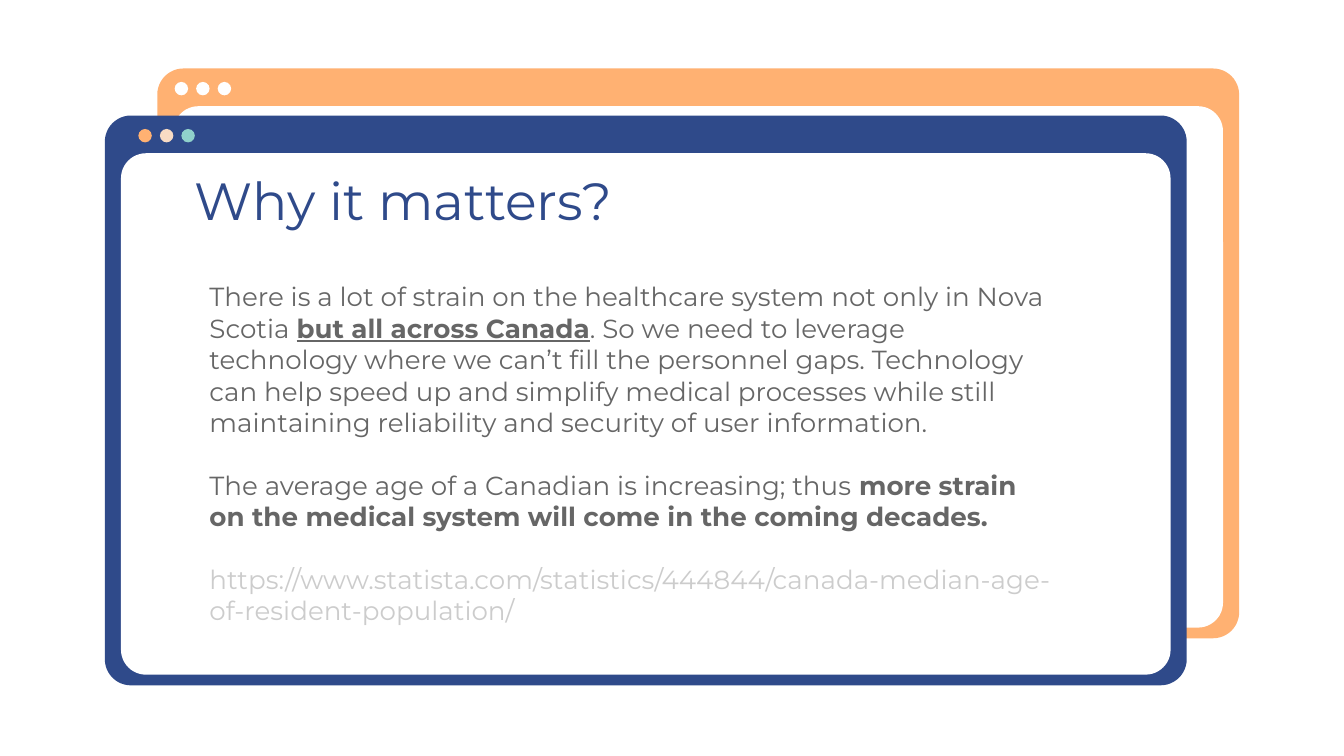
from pptx import Presentation
from pptx.dml.color import RGBColor
from pptx.enum import shapes, text
from pptx.util import Inches, Pt

WHITE = RGBColor(0xFF, 0xFF, 0xFF)
ORANGE = RGBColor(0xFF, 0xB1, 0x72)
PEACH = RGBColor(0xF8, 0xDB, 0xC4)
TEAL = RGBColor(0x90, 0xD1, 0xCB)
NAVY = RGBColor(0x2F, 0x4A, 0x8A)
GRAY = RGBColor(0x66, 0x66, 0x66)
LIGHT_GRAY = RGBColor(0xCC, 0xCC, 0xCC)


class PageBuilder:
    """Draws browser-style windows and text on one page in a shared style."""

    font_name = "Montserrat"

    def __init__(self, page):
        self.page = page

    def shape(self, kind, left, top, width, height, color):
        shape = self.page.shapes.add_shape(
            kind, Inches(left), Inches(top), Inches(width), Inches(height))
        shape.shadow.inherit = False
        shape.fill.solid()
        shape.fill.fore_color.rgb = color
        shape.line.fill.background()
        return shape

    def window(self, left, top, color, dots_left, dot_colors):
        rounded = shapes.MSO_SHAPE.ROUNDED_RECTANGLE
        frame = self.shape(rounded, left, top, 8.05, 4.24, color)
        frame.adjustments[0] = 0.046
        pane = self.shape(rounded, left + 0.12, top + 0.28, 7.81, 3.88, WHITE)
        pane.adjustments[0] = 0.048
        for index, dot_color in enumerate(dot_colors):
            self.shape(shapes.MSO_SHAPE.OVAL, dots_left + 0.16 * index,
                       top + 0.1, 0.1, 0.1, dot_color)

    def prepare(self, box):
        frame = box.text_frame
        frame.word_wrap = True
        frame.auto_size = text.MSO_AUTO_SIZE.NONE
        frame.vertical_anchor = text.MSO_ANCHOR.TOP
        frame.margin_left = frame.margin_right = Inches(0.1)
        frame.margin_top = frame.margin_bottom = Inches(0.1)
        return frame

    def style(self, span, size, color, bold=False, underline=False):
        span.font.name = self.font_name
        span.font.size = Pt(size)
        span.font.color.rgb = color
        span.font.bold = bold
        span.font.underline = underline

    def title(self, wording, left, top, width, height):
        box = self.page.shapes.title
        box.left, box.top = Inches(left), Inches(top)
        box.width, box.height = Inches(width), Inches(height)
        self.page.shapes._spTree.append(box._element)
        frame = self.prepare(box)
        frame.text = wording
        para = frame.paragraphs[0]
        para.alignment = text.PP_ALIGN.LEFT
        self.style(para.runs[0], 28, NAVY)

    def body(self, paragraphs, left, top, width, height):
        box = self.page.shapes.add_textbox(
            Inches(left), Inches(top), Inches(width), Inches(height))
        frame = self.prepare(box)
        for index, spans in enumerate(paragraphs):
            para = frame.add_paragraph() if index else frame.paragraphs[0]
            para.space_before = Pt(16.8 if index else 0)
            for wording, color, *emphasis in spans:
                span = para.add_run()
                span.text = wording
                self.style(span, 14, color, *emphasis)


def main():
    deck = Presentation()
    deck.slide_width = Inches(10)
    deck.slide_height = deck.slide_width * 9 // 16
    builder = PageBuilder(deck.slides.add_slide(deck.slide_layouts[5]))

    builder.window(1.17, 0.51, ORANGE, 1.3, [WHITE] * 3)
    builder.window(0.78, 0.86, NAVY, 1.03, [ORANGE, PEACH, TEAL])
    builder.title("Why it matters?", 1.35, 1.15, 7.36, 0.51)
    builder.body([
        [("There is a lot of strain on the healthcare system not only in "
          "Nova Scotia ", GRAY),
         ("but all across Canada", GRAY, True, True),
         (". So we need to leverage technology where we can’t fill the "
          "personnel gaps. Technology can help speed up and simplify medical "
          "processes while still maintaining reliability and security of "
          "user information.", GRAY)],
        [("The average age of a Canadian is increasing; thus ", GRAY),
         ("more strain on the medical system will come in the coming "
          "decades.", GRAY, True)],
        [("https://www.statista.com/statistics/444844/"
          "canada-median-age-of-resident-population/", LIGHT_GRAY)],
    ], 1.46, 1.99, 6.51, 2.57)
    deck.save("out.pptx")


if __name__ == "__main__":
    main()
